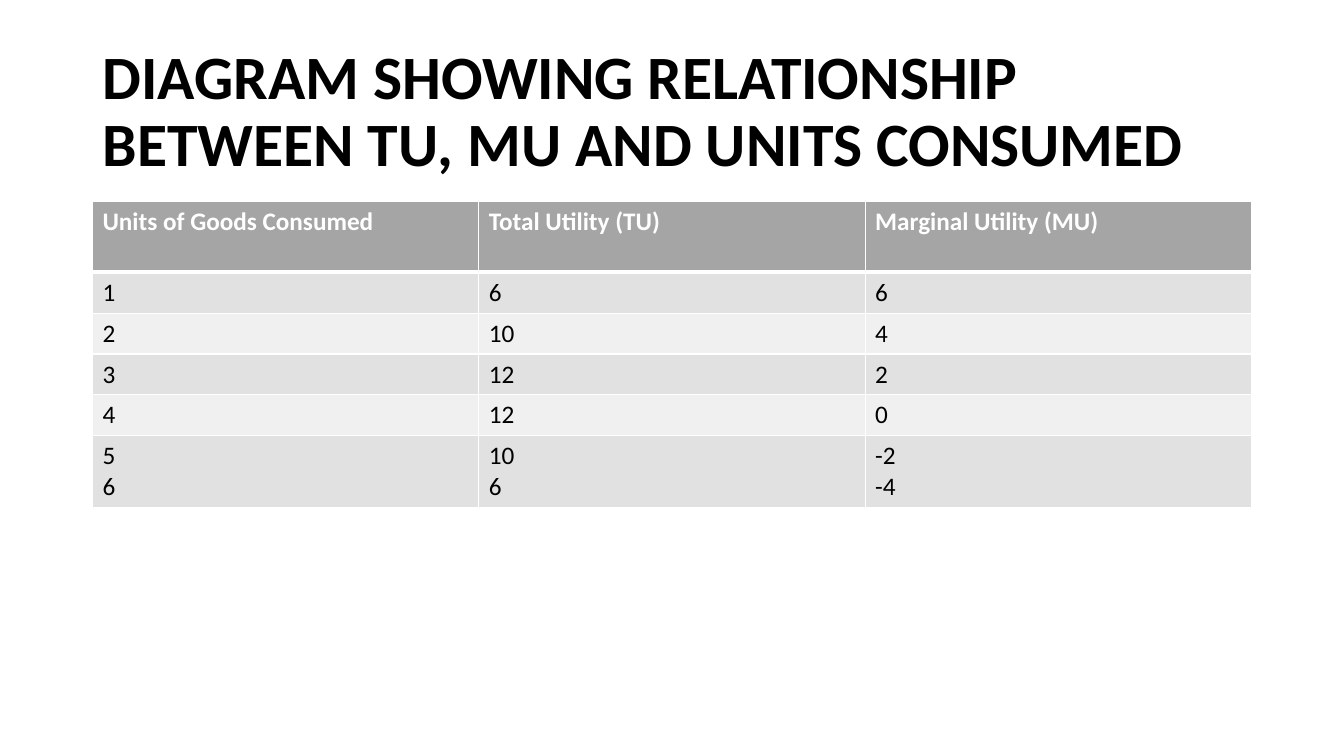
from lxml import etree
from pptx import Presentation
from pptx import util as u
from pptx.dml.color import RGBColor
from pptx.enum import text
from pptx.oxml import parse_xml
from pptx.oxml.ns import nsdecls

HUES = {"ink": "000000", "paper": "FFFFFF", "head": "A5A5A5",
        "odd": "E1E1E1", "even": "F0F0F0"}
TITLE = "DIAGRAM SHOWING RELATIONSHIP BETWEEN TU, MU AND UNITS CONSUMED"
ROWS = [
    ("Units of Goods Consumed", "Total Utility (TU)", "Marginal Utility (MU)"),
    ("1", "6", "6"),
    ("2", "10", "4"),
    ("3", "12", "2"),
    ("4", "12", "0"),
    ("5\n6", "10\n6", "-2\n-4"),
]
TALL, LOW = 1.78, 1.03
LEFT, WIDTH = 2.33, 29.21


class Deck:
    """Holds the style and the current slide, and adds elements to it."""

    def __init__(self):
        self.prs = Presentation()
        self.prs.slide_width = u.Cm(33.87)
        self.prs.slide_height = u.Cm(19.05)
        self.slide = self.prs.slides.add_slide(self.prs.slide_layouts[5])
        self.face = "Calibri"

    def style(self, para, size, hue, bold):
        font = para.font
        font.name, font.size, font.bold = self.face, u.Pt(size), bold
        font.color.rgb = RGBColor.from_string(HUES[hue])

    def title(self, words, top, high):
        box = self.slide.shapes.title
        box.left, box.top = u.Cm(LEFT), u.Cm(top)
        box.width, box.height = u.Cm(WIDTH), u.Cm(high)
        frame = box.text_frame
        frame.text = words
        frame.word_wrap = True
        frame.auto_size = text.MSO_AUTO_SIZE.NONE
        frame.vertical_anchor = text.MSO_ANCHOR.MIDDLE
        para = frame.paragraphs[0]
        para.alignment = text.PP_ALIGN.LEFT
        para.line_spacing = 0.9
        self.style(para, 44, "ink", True)

    def edge(self, cell, side, points):
        line = parse_xml(f'<a:ln{side} {nsdecls("a")} w="{u.Pt(points)}"/>')
        fill = etree.SubElement(line, f'{{{line.nsmap["a"]}}}solidFill')
        etree.SubElement(fill, f'{{{line.nsmap["a"]}}}srgbClr', val=HUES["paper"])
        cell._tc.get_or_add_tcPr().append(line)

    def cell(self, cell, words, row):
        thick = {0: "B", 1: "T"}.get(row)
        for side in "LRTB":
            self.edge(cell, side, 3 if side == thick else 1)
        cell.fill.solid()
        hue = "odd" if row % 2 else "even"
        cell.fill.fore_color.rgb = RGBColor.from_string(HUES[hue if row else "head"])
        cell.text = words
        for para in cell.text_frame.paragraphs:
            self.style(para, 18, "ink" if row else "paper", row == 0)

    def table(self, rows, top):
        highs = [TALL] + [TALL if "\n" in row[0] else LOW for row in rows[1:]]
        grid = self.slide.shapes.add_table(
            len(rows), len(rows[0]), u.Cm(LEFT), u.Cm(top),
            u.Cm(WIDTH), u.Cm(sum(highs))).table
        for i, row in enumerate(rows):
            grid.rows[i].height = u.Cm(highs[i])
            for j, words in enumerate(row):
                self.cell(grid.cell(i, j), words, i)


def main():
    deck = Deck()
    deck.title(TITLE, 1.01, 3.68)
    deck.table(ROWS, 5.08)
    deck.prs.save("out.pptx")


if __name__ == "__main__":
    main()
